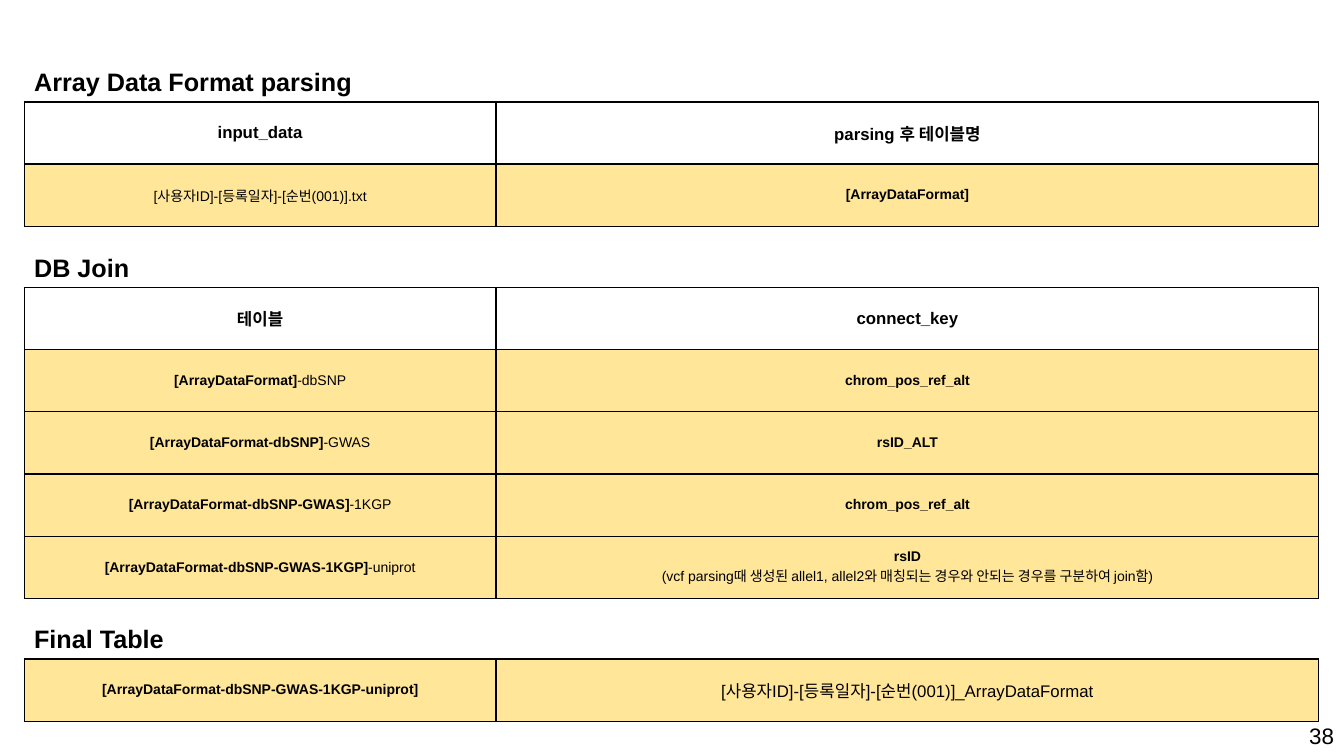
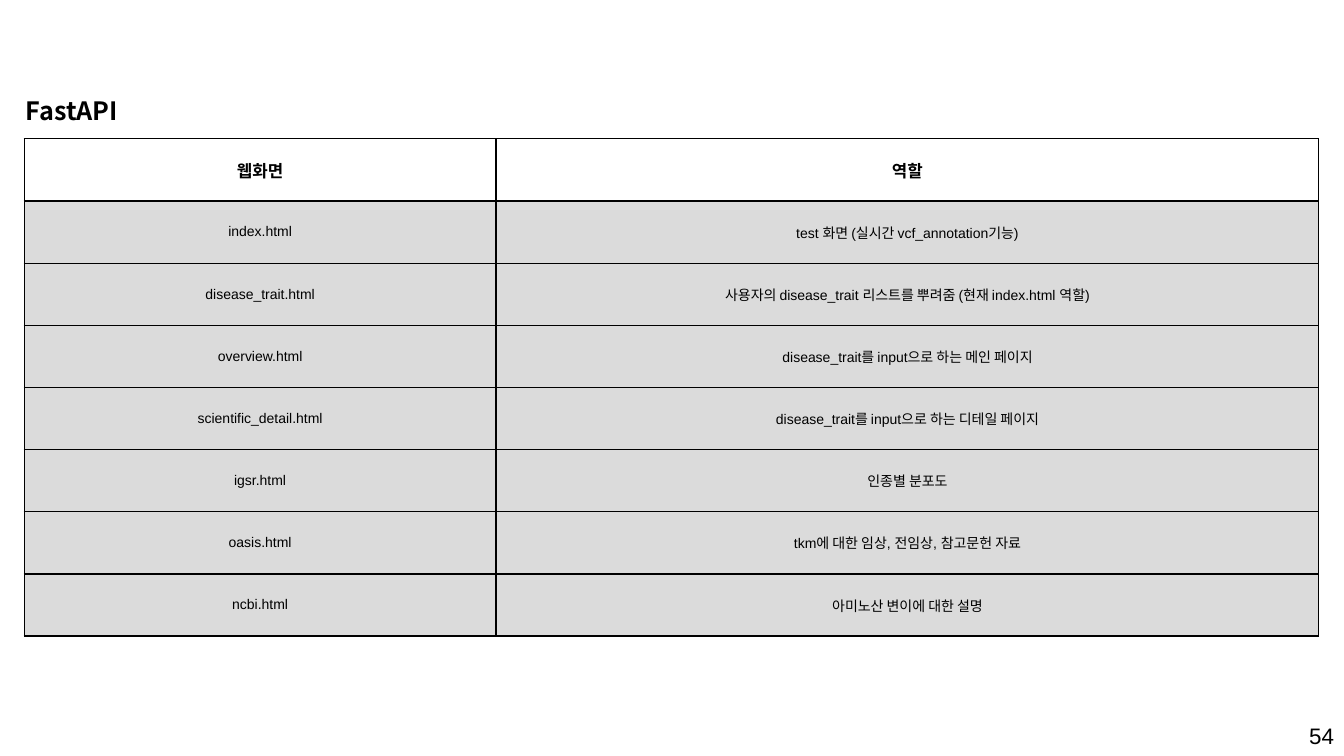
"""Build two slides of tables describing data parsing, joins and web pages."""
from dataclasses import dataclass

from lxml.etree import SubElement
from pptx import Presentation
from pptx.dml.color import RGBColor as Color
from pptx.enum.text import MSO_ANCHOR as Anchor, PP_ALIGN as Align
from pptx.oxml.ns import qn
from pptx.util import Pt


@dataclass(frozen=True)
class Theme:
    black: str = "000000"
    white: str = "FFFFFF"
    yellow: str = "FFE699"
    grey: str = "DBDBDB"
    font: str = "Arial"
    korean_font: str = "Noto Sans CJK KR"
    title: int = 18
    number: int = 16
    header: int = 12
    body: int = 10


theme = Theme()
TABLE_LEFT = 17.3
COLUMN_WIDTHS = (337, 587.8)
ROW_HEIGHT = 44.4
LINE_HEIGHT = 29


def write_text(frame, text, size, font=theme.font, align=Align.LEFT, anchor=Anchor.TOP):
    """Write one paragraph per line, with the parts between asterisks in bold."""
    frame.word_wrap = True
    frame.vertical_anchor = anchor
    for index, line in enumerate(text.split("\n")):
        para = frame.add_paragraph() if index else frame.paragraphs[0]
        para.alignment = align
        for position, part in enumerate(line.split("*")):
            if part:
                span = para.add_run()
                span.text = part
                span.font.size = Pt(size)
                span.font.name = font
                span.font.bold = position % 2 == 1
                span.font.color.rgb = Color.from_string(theme.black)


def draw_table(page, top, rows):
    """Draw rows given as pairs of texts, a fill and a pair of text sizes."""
    grid = page.shapes.add_table(
        len(rows), len(COLUMN_WIDTHS), Pt(TABLE_LEFT), Pt(top),
        Pt(sum(COLUMN_WIDTHS)), Pt(ROW_HEIGHT * len(rows))).table
    for column, width in zip(grid.columns, COLUMN_WIDTHS):
        column.width = Pt(width)
    for row, (texts, fill, sizes) in zip(grid.rows, rows):
        row.height = Pt(ROW_HEIGHT)
        for cell, text, size in zip(row.cells, texts, sizes):
            write_text(cell.text_frame, text, size, align=Align.CENTER)
            cell.vertical_anchor = Anchor.MIDDLE
            properties = cell._tc.get_or_add_tcPr()
            for side in ("a:lnL", "a:lnR", "a:lnT", "a:lnB"):
                border = SubElement(properties, qn(side), w=str(Pt(1)))
                paint = SubElement(border, qn("a:solidFill"))
                SubElement(paint, qn("a:srgbClr"), val=theme.black)
            cell.fill.solid()
            cell.fill.fore_color.rgb = Color.from_string(fill)


header_sizes = (theme.header, theme.header)
body_sizes = (theme.body, theme.body)

parsing_rows = [
    (("*input_data*", "*parsing 후 테이블명*"), theme.white, header_sizes),
    (("[사용자ID]-[등록일자]-[순번(001)].txt", "*[ArrayDataFormat]*"),
     theme.yellow, body_sizes),
]

joins = [
    ("*[ArrayDataFormat]*-dbSNP", "*chrom_pos_ref_alt*"),
    ("*[ArrayDataFormat-dbSNP]*-GWAS", "*rsID_ALT*"),
    ("*[ArrayDataFormat-dbSNP-GWAS]*-1KGP", "*chrom_pos_ref_alt*"),
    ("*[ArrayDataFormat-dbSNP-GWAS-1KGP]*-uniprot",
     "*rsID*\n(vcf parsing때 생성된 allel1, allel2와 매칭되는 경우와 "
     "안되는 경우를 구분하여 join함)"),
]
join_rows = [(("*테이블*", "*connect_key*"), theme.white, header_sizes)]
join_rows += [(texts, theme.yellow, body_sizes) for texts in joins]

final_rows = [
    (("*[ArrayDataFormat-dbSNP-GWAS-1KGP-uniprot]*",
      "[사용자ID]-[등록일자]-[순번(001)]_ArrayDataFormat"),
     theme.yellow, (theme.body, theme.header)),
]

web_pages = [
    ("index.html", "test 화면 (실시간 vcf_annotation기능)"),
    ("disease_trait.html", "사용자의 disease_trait 리스트를 뿌려줌 (현재 index.html 역할)"),
    ("overview.html", "disease_trait를 input으로 하는 메인 페이지"),
    ("scientific_detail.html", "disease_trait를 input으로 하는 디테일 페이지"),
    ("igsr.html", "인종별 분포도"),
    ("oasis.html", "tkm에 대한 임상, 전임상, 참고문헌 자료"),
    ("ncbi.html", "아미노산 변이에 대한 설명"),
]
web_rows = [(("*웹화면*", "*역할*"), theme.white, header_sizes)]
web_rows += [(texts, theme.grey, body_sizes) for texts in web_pages]

pages = [
    ("38", [
        ("Array Data Format parsing", theme.font, TABLE_LEFT, 43.9, 72.8, parsing_rows),
        ("DB Join", theme.font, TABLE_LEFT, 176.4, 205.4, join_rows),
        ("Final Table", theme.font, TABLE_LEFT, 441.7, 470.7, final_rows),
    ]),
    ("54", [("FastAPI", theme.korean_font, 11.3, 64.8, 99.2, web_rows)]),
]

deck = Presentation()
deck.slide_width, deck.slide_height = Pt(960), Pt(540)

for number, sections in pages:
    page = deck.slides.add_slide(deck.slide_layouts[6])
    for title, font, left, title_top, table_top, rows in sections:
        box = page.shapes.add_textbox(Pt(left), Pt(title_top), Pt(246), Pt(LINE_HEIGHT))
        write_text(box.text_frame, f"*{title}*", theme.title, font=font)
        draw_table(page, table_top, rows)
    box = page.shapes.add_textbox(Pt(744), Pt(511), Pt(216), Pt(LINE_HEIGHT))
    write_text(box.text_frame, number, theme.number, align=Align.RIGHT, anchor=Anchor.MIDDLE)

deck.save("out.pptx")
